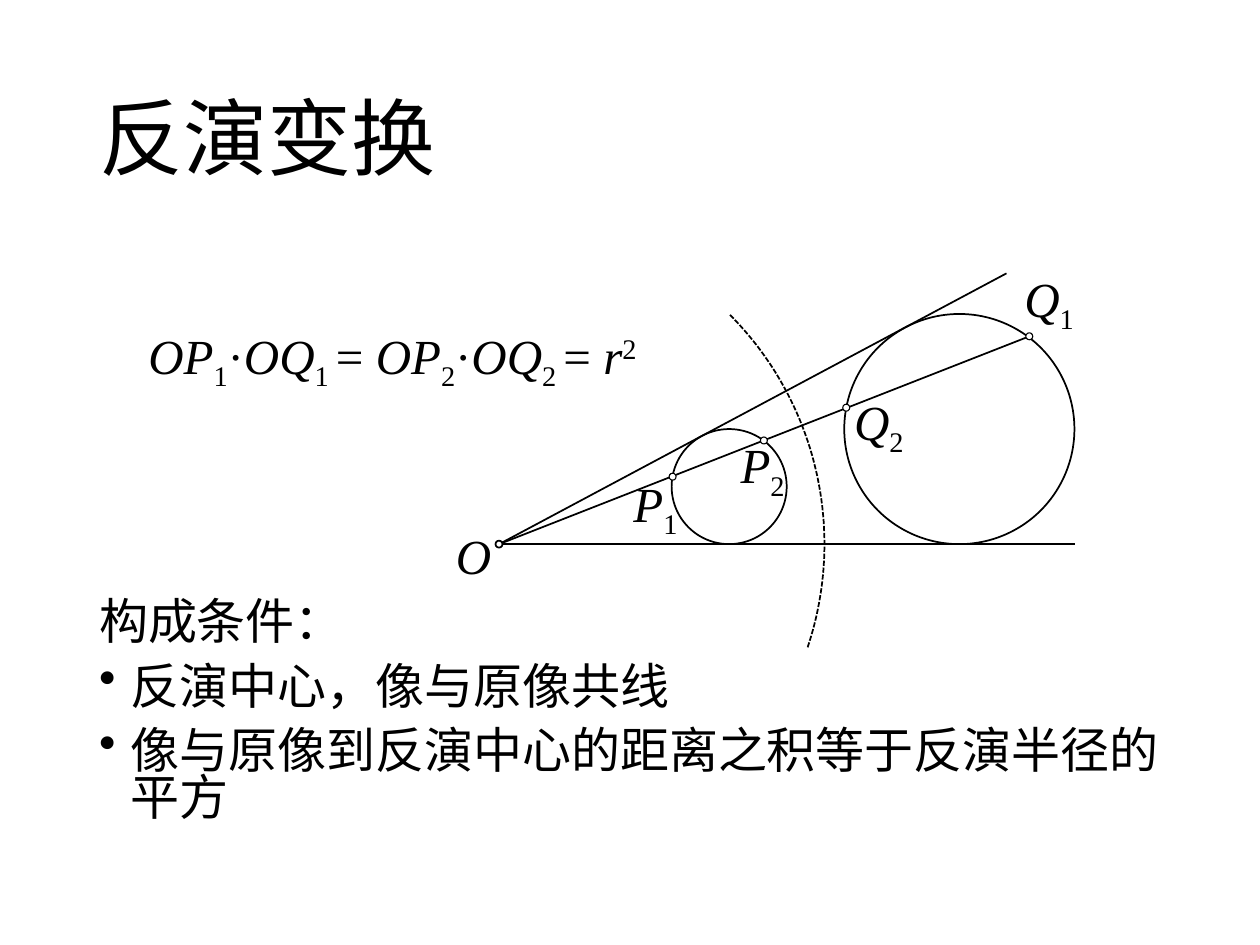
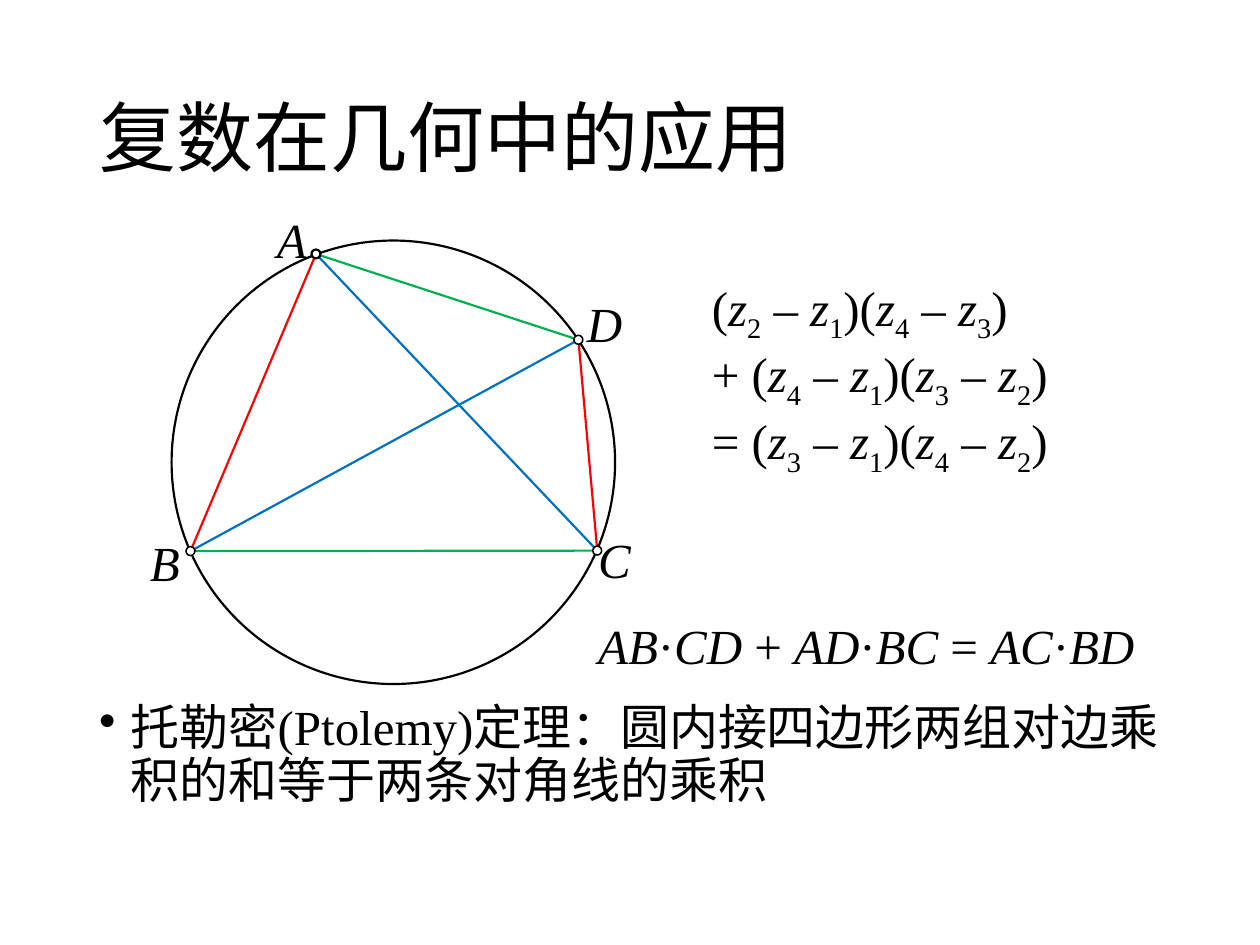
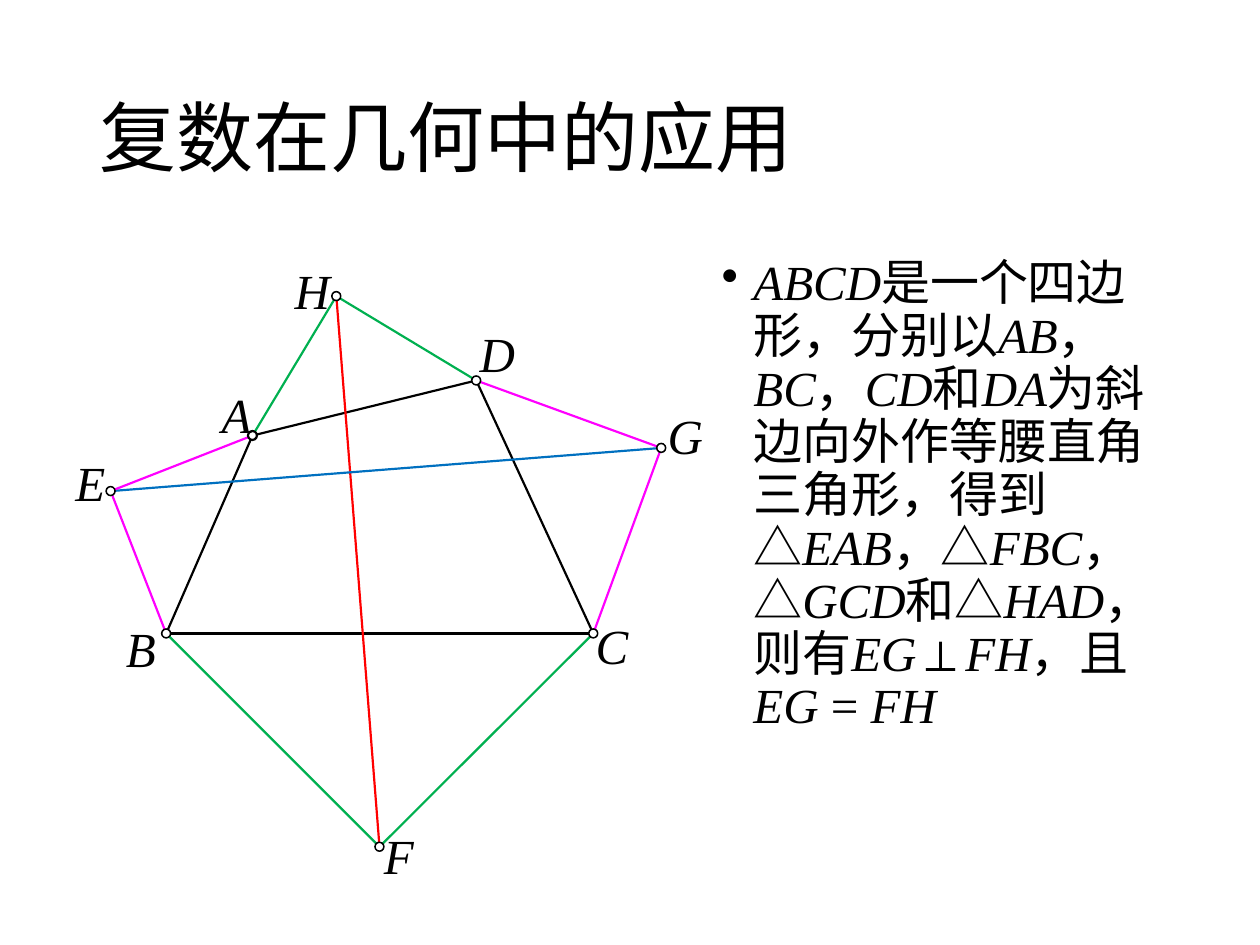
"""Build three slides on inversion and on complex numbers in geometry."""
from dataclasses import dataclass
from itertools import groupby
from math import cos, radians, sin
from typing import Iterator, NamedTuple

from lxml import etree
from pptx import Presentation, util as u
from pptx.dml import color
from pptx.enum import lang, dml, shapes, text
from pptx.oxml import ns

COLORS = {
    "black": "000000",
    "white": "FFFFFF",
    "red": "FF0000",
    "green": "00B050",
    "blue": "0070C0",
    "magenta": "FF00FF",
}
SANS = "Noto Sans CJK SC"
SERIF = "Times New Roman"
BASELINES = {"_": -25000, "^": 30000}


class Point(NamedTuple):
    x: float
    y: float


class Box(NamedTuple):
    left: float
    top: float
    width: float
    height: float = 1.45


class Segment(NamedTuple):
    ends: str
    color: str


class Label(NamedTuple):
    markup: str
    box: Box


@dataclass(frozen=True)
class TextStyle:
    font: str = SERIF
    size: float = 28
    italic_letters: bool = True
    spacing: float = 1.0
    space_before: float = 0
    anchor: text.MSO_ANCHOR = text.MSO_ANCHOR.TOP
    wrap: bool = True
    grow: bool = False


TITLE_BOX = Box(1.75, 1.02, 21.9, 3.68)
FORMULA = TextStyle(wrap=False, grow=True)
NARROW_LABEL = TextStyle(grow=True)


def rgb(name: str) -> color.RGBColor:
    """Return the named colour."""
    return color.RGBColor.from_string(COLORS[name])


def split_runs(markup: str, italic_letters: bool) -> Iterator[tuple[str, bool, int]]:
    """Yield text, italic and baseline; _ and ^ open and close sub- and superscripts."""
    baseline = 0
    styled = []
    for letter in markup:
        if letter in BASELINES:
            baseline = 0 if baseline else BASELINES[letter]
        else:
            italic = italic_letters and letter.isascii() and letter.isalpha()
            styled.append((letter, italic, baseline))
    for (italic, shift), group in groupby(styled, key=lambda item: item[1:]):
        yield "".join(item[0] for item in group), italic, shift


def add_runs(paragraph, markup: str, style: TextStyle) -> None:
    """Fill a paragraph run by run."""
    for words, italic, baseline in split_runs(markup, style.italic_letters):
        run = paragraph.add_run()
        run.text = words
        run.font.size = u.Pt(style.size)
        run.font.italic = italic
        run.font.color.rgb = rgb("black")
        run.font.name = style.font
        run.font.language_id = lang.MSO_LANGUAGE_ID.SIMPLIFIED_CHINESE
        properties = run._r.get_or_add_rPr()
        etree.SubElement(properties, ns.qn("a:ea"), typeface=SANS)
        if baseline:
            properties.set("baseline", str(baseline))


def add_bullet(paragraph) -> None:
    """Give a paragraph a hanging bullet."""
    properties = paragraph._p.get_or_add_pPr()
    indent = u.Cm(0.64)
    properties.set("marL", str(indent))
    properties.set("indent", str(-indent))
    etree.SubElement(properties, ns.qn("a:buChar"), char="•")


def add_text(slide, box: Box, lines: list[str], style: TextStyle) -> None:
    """Add a text box; a line that starts with • becomes a bullet."""
    frame = slide.shapes.add_textbox(*map(u.Cm, box)).text_frame
    frame.word_wrap = style.wrap
    frame.vertical_anchor = style.anchor
    sizing = text.MSO_AUTO_SIZE
    frame.auto_size = sizing.SHAPE_TO_FIT_TEXT if style.grow else sizing.NONE
    for index, line in enumerate(lines):
        paragraph = frame.add_paragraph() if index else frame.paragraphs[0]
        paragraph.line_spacing = style.spacing
        if index:
            paragraph.space_before = u.Pt(style.space_before)
        if line.startswith("•"):
            add_bullet(paragraph)
        add_runs(paragraph, line.removeprefix("•"), style)


def add_titled_slide(presentation, title: str, size: float):
    """Add a blank slide with a title."""
    slide = presentation.slides.add_slide(presentation.slide_layouts[6])
    style = TextStyle(SANS, size, spacing=0.9, anchor=text.MSO_ANCHOR.MIDDLE)
    add_text(slide, TITLE_BOX, [title], style)
    return slide


def add_circle(slide, center: Point, radius: float, width: float, filled: bool = False) -> None:
    """Draw a circle around a centre."""
    box = Box(center.x - radius, center.y - radius, 2 * radius, 2 * radius)
    shape = slide.shapes.add_shape(shapes.MSO_SHAPE.OVAL, *map(u.Cm, box))
    shape.shadow.inherit = False
    if filled:
        shape.fill.solid()
        shape.fill.fore_color.rgb = rgb("white")
    else:
        shape.fill.background()
    shape.line.color.rgb = rgb("black")
    shape.line.width = u.Pt(width)


def add_line(slide, start: Point, end: Point, color_name: str, width: float) -> None:
    """Draw a straight line."""
    line = slide.shapes.add_connector(shapes.MSO_CONNECTOR.STRAIGHT, *map(u.Cm, (*start, *end)))
    line.line.color.rgb = rgb(color_name)
    line.line.width = u.Pt(width)
    etree.SubElement(line._element.spPr, ns.qn("a:effectLst"))


def add_dashed_arc(slide, center: Point, radius: float, first: float, last: float) -> None:
    """Draw a dashed arc between two angles in degrees."""
    steps = 48
    angles = [radians(first + (last - first) * step / steps) for step in range(steps + 1)]
    points = [(u.Cm(center.x + radius * cos(a)), u.Cm(center.y + radius * sin(a))) for a in angles]
    builder = slide.shapes.build_freeform(*points[0])
    builder.add_line_segments(points[1:], close=False)
    arc = builder.convert_to_shape()
    arc.shadow.inherit = False
    arc.fill.background()
    arc.line.color.rgb = rgb("black")
    arc.line.width = u.Pt(1)
    arc.line.dash_style = dml.MSO_LINE.SQUARE_DOT


def add_figure(slide, points: dict[str, Point], segments: list[Segment]) -> None:
    """Draw coloured segments between named points, then the points."""
    for segment in segments:
        start, end = segment.ends
        add_line(slide, points[start], points[end], segment.color, 1.25)
    for index, point in enumerate(points.values()):
        add_circle(slide, point, 0.09, 0.88 if index else 1.25, filled=True)


def add_labels(slide, labels: list[Label], style: TextStyle) -> None:
    """Write the names of points."""
    for label in labels:
        add_text(slide, label.box, [label.markup], style)


def build_inversion(presentation) -> None:
    """Build the slide on inversion."""
    slide = add_titled_slide(presentation, "反演变换", 48)
    conditions = ["构成条件：", "•反演中心，像与原像共线", "•像与原像到反演中心的距离之积等于反演半径的平方"]
    add_text(slide, Box(1.75, 12.01, 21.9, 5.16), conditions, TextStyle(SANS, spacing=0.8, space_before=10))
    add_labels(slide, [
        Label("P_1_", Box(12.52, 9.42, 1.47)),
        Label("Q_1_", Box(20.4, 5.28, 1.6)),
        Label("O", Box(8.94, 10.46, 1.12)),
        Label("P_2_", Box(14.68, 8.64, 1.47)),
        Label("Q_2_", Box(16.97, 7.77, 1.68)),
    ], NARROW_LABEL)
    add_text(slide, Box(2.74, 6.43, 11.25), ["OP_1_·OQ_1 _= OP_2_·OQ_2 _= r^2^"], FORMULA)

    origin = Point(10.06, 10.97)
    for radius in (1.16, 2.32):
        add_circle(slide, Point(origin.x + 4 * radius, origin.y - radius), radius, 1)
    add_dashed_arc(slide, origin, 6.56, 18.5, -45)
    far_point = Point(20.75, 6.78)
    for end in (Point(20.29, 5.51), far_point, Point(21.67, origin.y)):
        add_line(slide, origin, end, "black", 1)
    add_circle(slide, origin, 0.07, 1, filled=True)
    for point in (far_point, Point(17.06, 8.22), Point(13.56, 9.61), Point(15.4, 8.88)):
        add_circle(slide, point, 0.07, 0.63, filled=True)


def build_ptolemy(presentation) -> None:
    """Build the slide on Ptolemy's theorem."""
    slide = add_titled_slide(presentation, "复数在几何中的应用", 44)
    theorem = "•托勒密(Ptolemy)定理：圆内接四边形两组对边乘积的和等于两条对角线的乘积"
    add_text(slide, Box(1.75, 14.05, 21.9, 3.1), [theorem], TextStyle(italic_letters=False, spacing=0.9))
    identity = [
        "(z_2_ – z_1_)(z_4_ – z_3_)",
        "+ (z_4_ – z_1_)(z_3_ – z_2_)",
        "= (z_3_ – z_1_)(z_4_ – z_2_)",
    ]
    add_text(slide, Box(14.1, 5.46, 7.8, 3.84), identity, FORMULA)

    add_circle(slide, Point(7.93, 9.32), 4.47, 1.25)
    points = {
        "A": Point(6.37, 5.12),
        "B": Point(3.84, 11.11),
        "C": Point(12.04, 11.1),
        "D": Point(11.66, 6.85),
    }
    add_figure(slide, points, [
        Segment("AB", "red"),
        Segment("BC", "green"),
        Segment("CD", "red"),
        Segment("DA", "green"),
        Segment("BD", "blue"),
        Segment("CA", "blue"),
    ])
    add_labels(slide, [
        Label("A", Box(5.33, 4.09, 1.12)),
        Label("B", Box(2.77, 10.62, 1.12)),
        Label("C", Box(11.81, 10.54, 1.17)),
        Label("D", Box(11.58, 5.79, 1.24)),
        Label("AB·CD + AD·BC = AC·BD", Box(11.81, 12.29, 11.84)),
    ], FORMULA)


def build_quadrilateral(presentation) -> None:
    """Build the slide on right triangles outside a quadrilateral."""
    slide = add_titled_slide(presentation, "复数在几何中的应用", 44)
    statement = (
        "•ABCD是一个四边形，分别以AB，BC，CD和DA为斜边向外作等腰直角三角形，"
        "得到△EAB，△FBC，△GCD和△HAD，则有EG⊥FH，且EG = FH"
    )
    add_text(slide, Box(14.3, 5.08, 9.37, 12.09), [statement], TextStyle(spacing=0.9))

    points = {
        "A": Point(5.09, 8.78),
        "B": Point(3.35, 12.77),
        "C": Point(11.96, 12.77),
        "D": Point(9.6, 7.67),
        "E": Point(2.23, 9.9),
        "F": Point(7.65, 17.07),
        "G": Point(13.33, 9.03),
        "H": Point(6.78, 5.97),
    }
    sides = {
        "black": "AB BC CD DA",
        "red": "HF",
        "blue": "EG",
        "magenta": "AE EB CG GD",
        "green": "BF FC DH HA",
    }
    add_figure(slide, points, [Segment(ends, name) for name, pairs in sides.items() for ends in pairs.split()])
    add_labels(slide, [
        Label("A", Box(4.22, 7.62, 1.12)),
        Label("B", Box(2.29, 12.34, 1.12)),
        Label("C", Box(11.76, 12.29, 1.17)),
        Label("D", Box(9.42, 6.4, 1.24)),
        Label("E", Box(1.27, 8.99, 1.12)),
        Label("F", Box(7.49, 16.51, 1.12)),
        Label("G", Box(13.21, 8.05, 1.24)),
        Label("H", Box(5.69, 5.13, 1.24)),
    ], FORMULA)


def main() -> None:
    """Build and save the presentation."""
    presentation = Presentation()
    presentation.slide_width = u.Cm(25.4)
    presentation.slide_height = u.Cm(19.05)
    build_inversion(presentation)
    build_ptolemy(presentation)
    build_quadrilateral(presentation)
    presentation.save("out.pptx")


if __name__ == "__main__":
    main()
